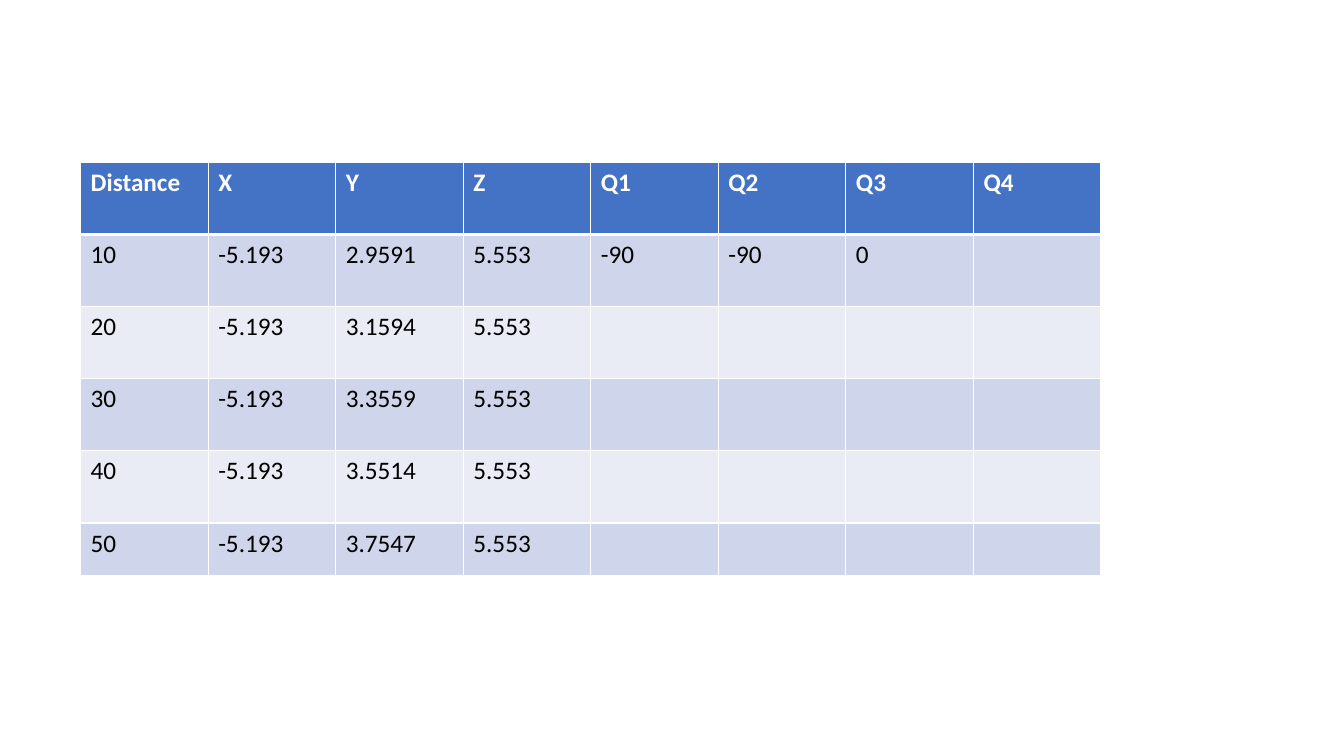
import pptx
import pptx.dml.color
import pptx.oxml
import pptx.oxml.ns
import pptx.util
from pptx.util import Inches

WHITE = pptx.dml.color.RGBColor(0xFF, 0xFF, 0xFF)
BLACK = pptx.dml.color.RGBColor(0x00, 0x00, 0x00)
HEADER_BLUE = pptx.dml.color.RGBColor(0x44, 0x72, 0xC4)
BAND_DARK = pptx.dml.color.RGBColor(0xCF, 0xD5, 0xEA)
BAND_LIGHT = pptx.dml.color.RGBColor(0xE9, 0xEB, 0xF5)

HEADINGS = ["Distance", "X", "Y", "Z", "Q1", "Q2", "Q3", "Q4"]
MEASUREMENTS = [
    ["10", "-5.193", "2.9591", "5.553", "-90", "-90", "0"],
    ["20", "-5.193", "3.1594", "5.553"],
    ["30", "-5.193", "3.3559", "5.553"],
    ["40", "-5.193", "3.5514", "5.553"],
    ["50", "-5.193", "3.7547", "5.553"],
]
LAST_ROW_HEIGHT = 0.52


def add_borders(cell, widths):
    """Draw white borders; widths maps the sides L, R, T, B to points."""
    properties = cell._tc.get_or_add_tcPr()
    for side, width in widths.items():
        properties.append(pptx.oxml.parse_xml(
            f'<a:ln{side} {pptx.oxml.ns.nsdecls("a")} w="{pptx.util.Pt(width)}">'
            f'<a:solidFill><a:srgbClr val="{WHITE}"/></a:solidFill></a:ln{side}>'))


def format_cell(cell, text, row_index):
    is_header = row_index == 0
    add_borders(cell, {"L": 1, "R": 1,
                       "T": 3 if row_index == 1 else 1,
                       "B": 3 if is_header else 1})
    cell.fill.solid()
    if is_header:
        cell.fill.fore_color.rgb = HEADER_BLUE
    else:
        cell.fill.fore_color.rgb = BAND_DARK if row_index % 2 else BAND_LIGHT
    cell.text_frame.text = text
    font = cell.text_frame.paragraphs[0].font
    font.size = pptx.util.Pt(18)
    for run in cell.text_frame.paragraphs[0].runs:
        run.font.name = "Calibri"
        run.font.size = pptx.util.Pt(18)
        run.font.bold = is_header
        run.font.color.rgb = WHITE if is_header else BLACK


def add_measurement_table(slide, left, top, width, height):
    rows = [HEADINGS] + MEASUREMENTS
    table = slide.shapes.add_table(
        len(rows), len(HEADINGS),
        Inches(left), Inches(top), Inches(width), Inches(height)).table
    for column in table.columns:
        column.width = Inches(width / len(HEADINGS))
    for row in table.rows:
        row.height = Inches((height - LAST_ROW_HEIGHT) / (len(rows) - 1))
    table.rows[len(rows) - 1].height = Inches(LAST_ROW_HEIGHT)
    for row_index, values in enumerate(rows):
        for column_index in range(len(HEADINGS)):
            text = values[column_index] if column_index < len(values) else ""
            format_cell(table.cell(row_index, column_index), text, row_index)


def main():
    presentation = pptx.Presentation()
    presentation.slide_width = Inches(13.33)
    presentation.slide_height = Inches(7.5)
    slide = presentation.slides.add_slide(presentation.slide_layouts[6])
    add_measurement_table(slide, 0.8, 1.61, 10.12, 4.1)
    presentation.save("out.pptx")


if __name__ == "__main__":
    main()
